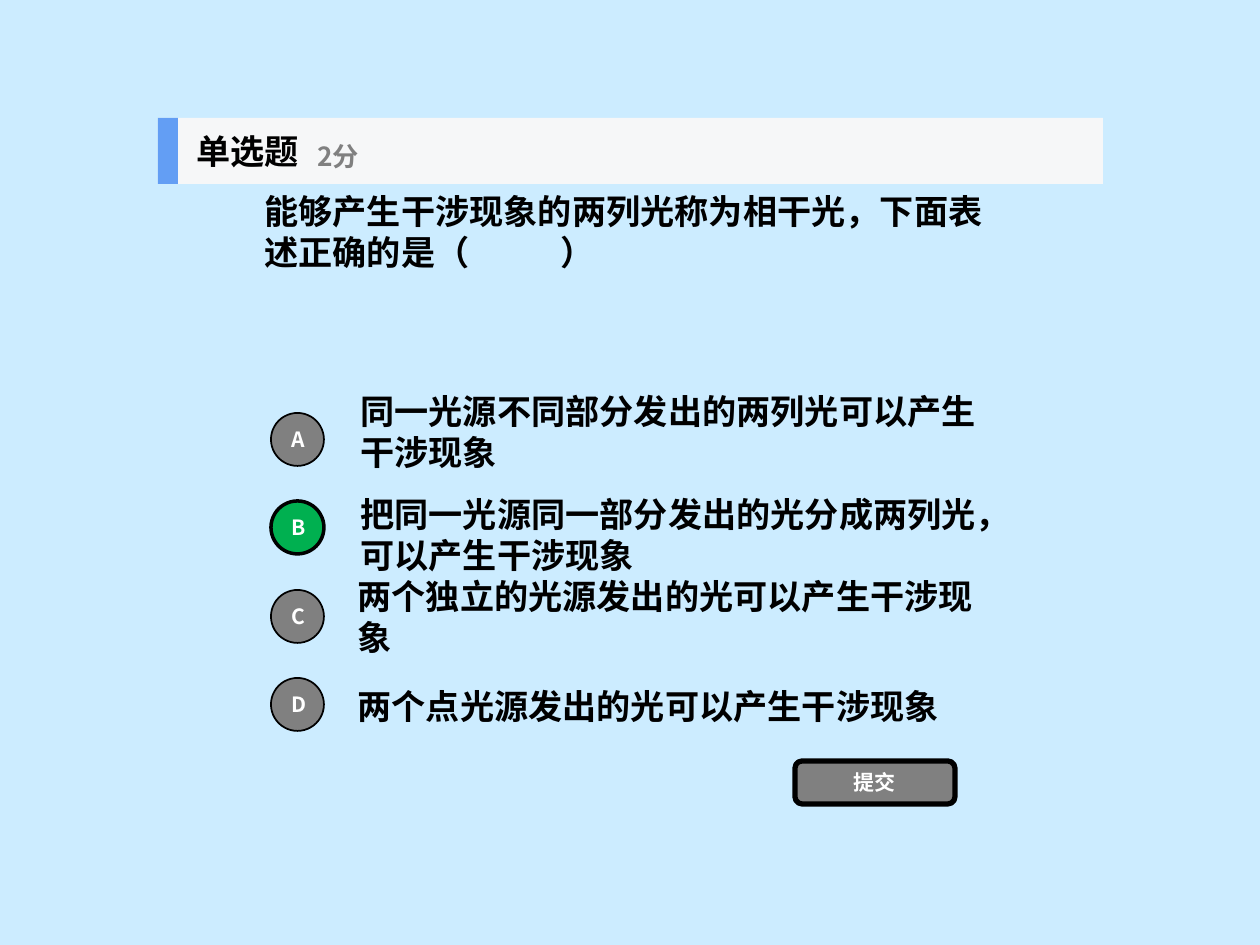
from pptx import Presentation
from pptx.dml.color import RGBColor
from pptx.enum.shapes import MSO_SHAPE
from pptx.enum.text import MSO_ANCHOR, PP_ALIGN
from pptx.oxml.ns import qn
from pptx.util import Emu, Pt
from lxml.etree import SubElement

PX = 914400 // 126
THEME = {
    "font": "Noto Sans CJK SC",
    "back": "CCECFF", "bar": "F6F7F8", "mark": "639EF4",
    "ink": "000000", "gray": "808080", "right": "00B050", "white": "FFFFFF",
    "body": 19.5, "score": 15, "label": 12,
}

deck = Presentation()
deck.slide_width, deck.slide_height = Emu(1260 * PX), Emu(945 * PX)
slide = deck.slides.add_slide(deck.slide_layouts[6])
slide.background.fill.solid()
slide.background.fill.fore_color.rgb = RGBColor.from_string(THEME["back"])


def write(box, text, size="body", color="ink", align=PP_ALIGN.LEFT,
          anchor=MSO_ANCHOR.MIDDLE):
    frame = box.text_frame
    frame.word_wrap = True
    frame.vertical_anchor = anchor
    para = frame.paragraphs[0]
    para.alignment = align
    run = para.add_run()
    run.text = text
    font = run.font
    font.name, font.size, font.bold = THEME["font"], Pt(THEME[size]), True
    font.color.rgb = RGBColor.from_string(THEME[color])
    SubElement(run._r.get_or_add_rPr(), qn("a:ea"), typeface=THEME["font"])
    return para


def draw(kind, place, fill, line=0):
    shape = slide.shapes.add_shape(kind, *[Emu(n * PX) for n in place])
    shape.shadow.inherit = False
    shape.fill.solid()
    shape.fill.fore_color.rgb = RGBColor.from_string(THEME[fill])
    if line:
        shape.line.color.rgb = RGBColor.from_string(THEME["ink"])
        shape.line.width = Pt(line)
    else:
        shape.line.fill.background()
    return shape


# Header bar
draw(MSO_SHAPE.RECTANGLE, (158, 118, 945, 66), "bar")
draw(MSO_SHAPE.RECTANGLE, (158, 118, 20, 66), "mark")

# Header and question text
texts = [
    ((184, 118, 197, 66), "单选题", "body", "ink", MSO_ANCHOR.MIDDLE),
    ((305, 130, 237, 53), "2分", "score", "gray", MSO_ANCHOR.MIDDLE),
    ((252, 184, 756, 135),
     "能够产生干涉现象的两列光称为相干光，下面表述正确的是（\t）",
     "body", "ink", MSO_ANCHOR.TOP),
]
for place, text, size, color, anchor in texts:
    box = slide.shapes.add_textbox(*[Emu(n * PX) for n in place])
    para = write(box, text, size, color, anchor=anchor)

# Tab stop for the answer gap between the brackets
tabs = SubElement(para._p.get_or_add_pPr(), qn("a:tabLst"))
SubElement(tabs, qn("a:tab"), pos=str(296 * PX), algn="l")

# Options: letter, text, left, top and height of text
options = [
    ("A", "同一光源不同部分发出的两列光可以产生干涉现象", 348, 407, 49),
    ("B", "把同一光源同一部分发出的光分成两列光，可以产生干涉现象", 348, 501, 67),
    ("C", "两个独立的光源发出的光可以产生干涉现象", 345, 583, 67),
    ("D", "两个点光源发出的光可以产生干涉现象", 345, 672, 67),
]
for row, (letter, text, left, top, high) in enumerate(options):
    place = (left, top, 660, high)
    write(slide.shapes.add_textbox(*[Emu(n * PX) for n in place]), text)
    fill, line = ("right", 2) if letter == "B" else ("gray", 1)
    disc = draw(MSO_SHAPE.OVAL, (271, 413 + round(88.4 * row), 53, 53), fill, line)
    write(disc, letter, "label", "white", PP_ALIGN.CENTER)

# Submit button
button = draw(MSO_SHAPE.ROUNDED_RECTANGLE, (795, 761, 160, 43), "gray", 3)
write(button, "提交", "label", "white", PP_ALIGN.CENTER)

deck.save("out.pptx")
